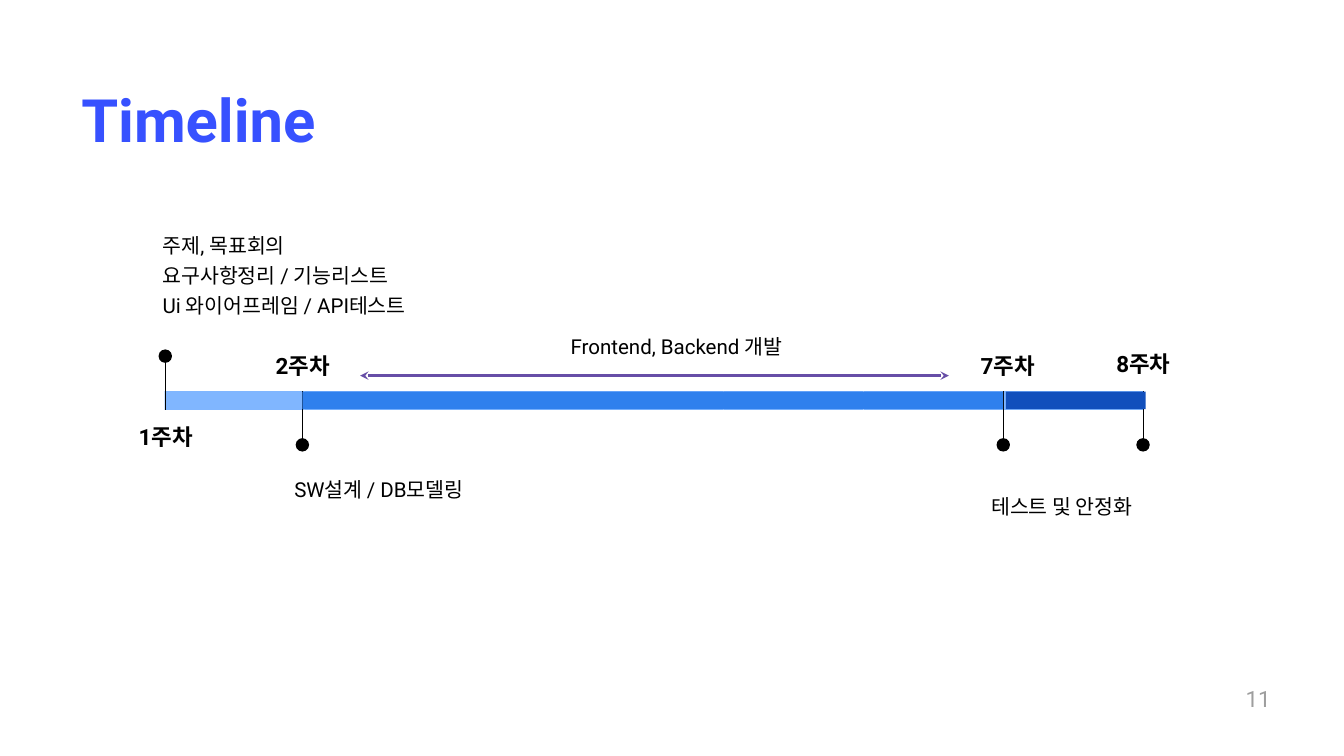
from dataclasses import dataclass

from lxml import etree
from pptx import Presentation
from pptx.dml.color import RGBColor
from pptx.enum.shapes import MSO_CONNECTOR, MSO_SHAPE
from pptx.enum.text import MSO_ANCHOR, MSO_AUTO_SIZE, PP_ALIGN
from pptx.oxml.ns import qn
from pptx.util import Pt

PX = 9144  # 100 px to the inch
LEFT, CENTER, RIGHT = PP_ALIGN.LEFT, PP_ALIGN.CENTER, PP_ALIGN.RIGHT
RECTANGLE, OVAL = MSO_SHAPE.RECTANGLE, MSO_SHAPE.OVAL
STRAIGHT, ELBOW = MSO_CONNECTOR.STRAIGHT, MSO_CONNECTOR.ELBOW
TITLE_ONLY = 5


@dataclass(frozen=True)
class Theme:
    font: str = "Roboto"
    title: str = "3751FF"
    text: str = "000000"
    page: str = "9E9E9E"
    week: str = "80B6FF"
    development: str = "2F80ED"
    testing: str = "114FBC"
    arrow: str = "674EA7"
    title_size: int = 64
    week_size: int = 24
    task_size: int = 22
    page_size: int = 24


THEME = Theme()

WEEK_COUNT, WEEK_WIDTH = 7, 208
# Label, marker x, label centre x, label top, label width, pin points up
MILESTONES = [
    ("1주차", 1, 1, 28, 191, True),
    ("2주차", 205, 205, -78, 163, False),
    ("7주차", 1248, 1254, -78, 163, False),
    ("8주차", 1456, 1456, -81, 163, False),
]
# Left, top, width, height, lines
TASKS = [
    (-23, -262, 493, 132,
     ["주제, 목표회의", "요구사항정리 / 기능리스트", "Ui 와이어프레임 / API테스트"]),
    (173, 101, 493, 206, ["SW설계 / DB모델링"]),
    (584, -113, 399, 90, ["Frontend, Backend 개발"]),
    (1210, 126, 493, 206, ["테스트 및 안정화"]),
]
# Left, width, colour
PHASES = [(205, 1043, THEME.development), (1252, 208, THEME.testing)]


def px(*lengths):
    return [length * PX for length in lengths]


def write_text(shape, lines, size, color, bold=False, align=LEFT,
               spacing=1.0, inset=20):
    frame = shape.text_frame
    frame.word_wrap = True
    frame.auto_size = MSO_AUTO_SIZE.NONE
    frame.vertical_anchor = MSO_ANCHOR.TOP
    frame.margin_left = frame.margin_right = inset * PX
    frame.margin_top = frame.margin_bottom = inset * PX
    for index, line in enumerate(lines):
        paragraph = frame.add_paragraph() if index else frame.paragraphs[0]
        paragraph.alignment = align
        paragraph.line_spacing = spacing
        run = paragraph.add_run()
        run.text = line
        run.font.name = THEME.font
        run.font.size = Pt(size)
        run.font.bold = bold
        run.font.color.rgb = RGBColor.from_string(color)


def add_filled(shapes, kind, box, color):
    shape = shapes.add_shape(kind, *px(*box))
    shape.shadow.inherit = False
    shape.fill.solid()
    shape.fill.fore_color.rgb = RGBColor.from_string(color)
    shape.line.fill.background()
    return shape


def add_line(shapes, kind, start, end, color, width):
    line = shapes.add_connector(kind, *px(*start, *end))
    line.line.color.rgb = RGBColor.from_string(color)
    line.line.width = Pt(width)
    etree.SubElement(line._element.spPr, qn("a:effectLst"))
    return line


def add_double_arrow(shapes, start, end):
    arrow = add_line(shapes, ELBOW, start, end, THEME.arrow, 3)
    outline = arrow.line._get_or_add_ln()
    for tag in ("a:headEnd", "a:tailEnd"):
        etree.SubElement(outline, qn(tag), type="stealth")


def add_title(slide, box):
    title = slide.shapes.title
    title.left, title.top, title.width, title.height = px(*box)
    write_text(title, ["Timeline"], THEME.title_size, THEME.title, bold=True)


def add_page_number(slide, box):
    number = slide.shapes.add_textbox(*px(*box))
    write_text(number, ["11"], THEME.page_size, THEME.page, align=RIGHT, inset=18)


def add_pin(slide, x, top, height, up):
    """Draw a marker line across the bar, with a dot at its outer end."""
    pin = slide.shapes.add_group_shape().shapes
    outer, inner = (top - 51, top + height) if up else (top + 78, top)
    add_line(pin, STRAIGHT, (x, outer), (x, inner), THEME.text, 0.75)
    dot_top = outer - 11 if up else outer - 8
    add_filled(pin, OVAL, (x - 10, dot_top, 20, 20), THEME.text)


def add_timeline(slide, left, top, height):
    """Place the week bar, with all other parts measured from its top left."""
    shapes = slide.shapes
    for week in range(WEEK_COUNT):
        box = (left + week * WEEK_WIDTH, top, WEEK_WIDTH, height)
        add_filled(shapes, RECTANGLE, box, THEME.week)

    for label, x, center, label_top, width, up in MILESTONES:
        add_pin(slide, left + x, top, height, up)
        text = shapes.add_textbox(
            *px(left + center - width // 2, top + label_top, width, 81))
        write_text(text, [label], THEME.week_size, THEME.text,
                   bold=True, align=CENTER)

    for x, y, width, task_height, lines in TASKS:
        text = shapes.add_textbox(*px(left + x, top + y, width, task_height))
        write_text(text, lines, THEME.task_size, THEME.text, spacing=1.2)

    add_double_arrow(shapes, (left + 291, top - 23), (left + 1167, top - 23))
    for x, width, color in PHASES:
        add_filled(shapes, RECTANGLE, (left + x, top + 1, width, height - 2), color)


def main():
    presentation = Presentation()
    presentation.slide_width, presentation.slide_height = px(2000, 1125)
    slide = presentation.slides.add_slide(presentation.slide_layouts[TITLE_ONLY])
    add_title(slide, (101, 103, 1762, 125))
    add_timeline(slide, 245, 582, 28)
    add_page_number(slide, (1789, 1002, 120, 70))
    presentation.save("out.pptx")


if __name__ == "__main__":
    main()
